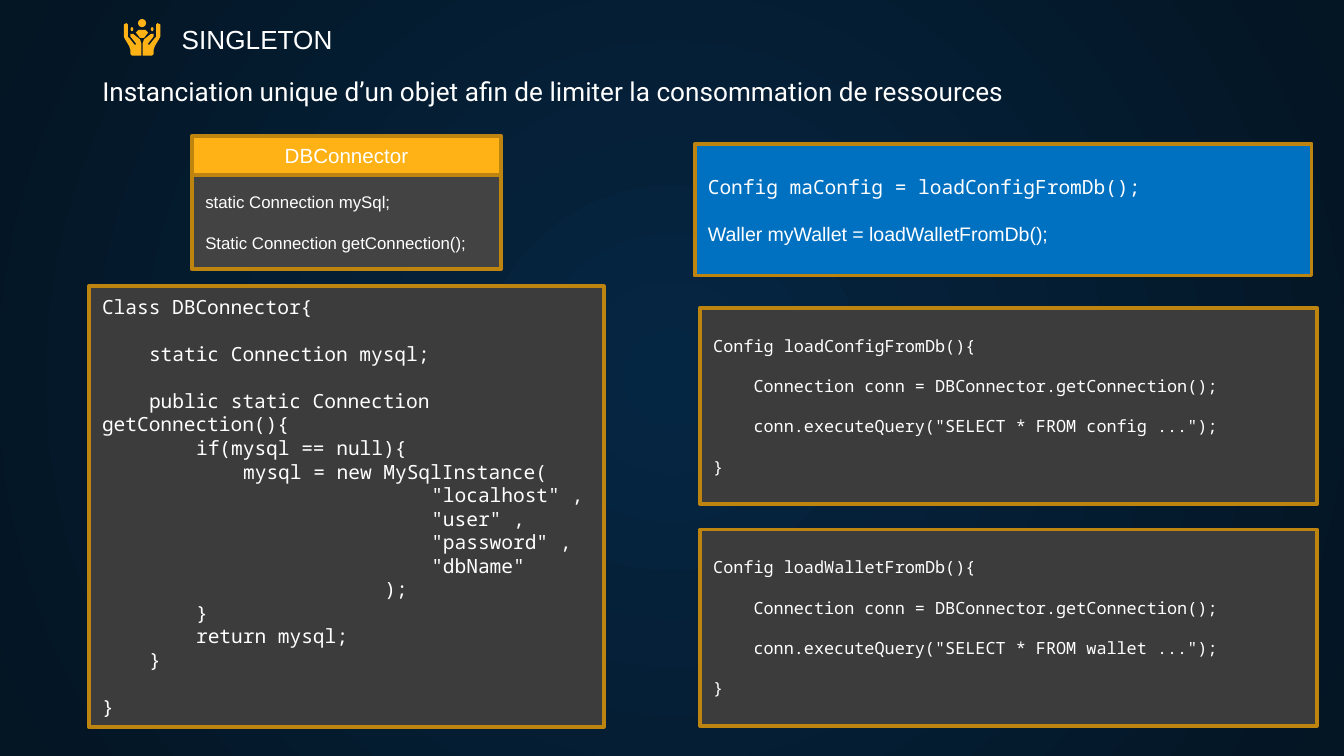
from lxml import etree
from pptx import Presentation
from pptx.dml.color import RGBColor
from pptx.enum.shapes import MSO_SHAPE
from pptx.enum.text import MSO_ANCHOR, MSO_AUTO_SIZE, PP_ALIGN
from pptx.oxml.ns import qn
from pptx.util import Cm, Pt

RECT, OVAL = MSO_SHAPE.RECTANGLE, MSO_SHAPE.OVAL
MIDDLE, NO_FIT = MSO_ANCHOR.MIDDLE, MSO_AUTO_SIZE.NONE
LEFT, CENTER = PP_ALIGN.LEFT, PP_ALIGN.CENTER

WHITE = RGBColor(0xFF, 0xFF, 0xFF)
GOLD = RGBColor(0xFF, 0xB2, 0x15)
BRONZE = RGBColor(0xBD, 0x84, 0x10)
GRAY = RGBColor(0x43, 0x43, 0x43)
COAL = RGBColor(0x3C, 0x3C, 0x3C)
BLUE = RGBColor(0x00, 0x70, 0xC0)
NAVY = RGBColor(0x05, 0x26, 0x43)
NIGHT = RGBColor(0x04, 0x15, 0x23)

SANS, MONO = "Arial", "Noto Sans Mono"
LEAD, CHAR = 1.2, 0.6
GRID = 27
HAND = [(2, 3), (0, 4), (0, 13), (1, 15), (4, 20), (5, 23), (5, 26), (6, 27),
        (13, 27), (13, 18), (12, 15), (7, 11), (5, 11), (5, 13), (9, 18),
        (9, 19), (8, 19), (4, 14), (3, 13), (3, 4)]
PALM = [(9, 10), (11, 8.5), (13.5, 8), (16, 8.5), (18.5, 10), (15, 14), (12, 14)]

CLASS_CODE = [
    (0, 0, "Class DBConnector{"),
    (4, 1, "static Connection mysql;"),
    (4, 1, "public static Connection getConnection(){"),
    (8, 0, "if(mysql == null){"),
    (12, 0, "mysql = new MySqlInstance("),
    (28, 0, '"localhost"\u00a0,'.replace("\u00a0", " ")),
    (28, 0, '"user" ,'),
    (28, 0, '"password" ,'),
    (28, 0, '"dbName"'),
    (24, 0, ");"),
    (8, 0, "}"),
    (8, 0, "return mysql;"),
    (4, 0, "}"),
    (0, 1, "}"),
]


def style(para, font, size, align=LEFT):
    """Format a paragraph and its runs."""
    para.alignment = align
    for run in para.runs:
        run.font.name = font
        run.font.size = Pt(size)
        run.font.color.rgb = WHITE


def paint(shape, fill, edge=None):
    """Give a shape a flat fill and an optional edge."""
    shape.shadow.inherit = False
    shape.fill.solid()
    shape.fill.fore_color.rgb = fill
    if edge is None:
        shape.line.fill.background()
    else:
        shape.line.color.rgb = edge
        shape.line.width = Pt(2)


def add_panel(slide, box, fill, lines, size, fonts, align=LEFT):
    """Add a framed panel of (indent, gap, text) lines."""
    panel = slide.shapes.add_shape(RECT, *map(Cm, box))
    paint(panel, fill, BRONZE)
    frame = panel.text_frame
    frame.word_wrap = True
    frame.vertical_anchor = MIDDLE
    frame.text = "\n".join(text for _, _, text in lines)
    for i, (para, (indent, gap, _)) in enumerate(zip(frame.paragraphs, lines)):
        style(para, fonts[i % len(fonts)], size, align)
        para.line_spacing = Pt(size * LEAD)
        para.space_before = Pt(size * LEAD * gap)
        props = para._p.get_or_add_pPr()
        props.set("marL", "0")
        props.set("indent", str(Pt(indent * size * CHAR)))


def add_card(slide, box):
    """Add the class card with its name above its members."""
    left, top, width, height = box
    head = 0.74
    add_panel(slide, (left, top, width, head), GOLD,
              [(0, 0, "DBConnector")], 11, [SANS], CENTER)
    add_panel(slide, (left, top + head, width, height - head), GRAY,
              [(0, 0, "static Connection mySql;"),
               (0, 1, "Static Connection getConnection();")], 9, [SANS])


def add_loader(slide, box, name):
    """Add the code panel that loads one kind of object."""
    add_panel(slide, box, COAL, [
        (0, 0, f"Config load{name}FromDb(){{"),
        (4, 1, "Connection conn = DBConnector.getConnection();"),
        (4, 1, f'conn.executeQuery("SELECT * FROM {name.lower()} ...");'),
        (0, 1, "}"),
    ], 9, [MONO])


def add_icon(slide, box):
    """Draw two raised hands around a small figure."""
    left, top, width, _ = box
    unit = width / GRID
    flip = [(GRID - x, y) for x, y in HAND]
    for points in (HAND, flip, PALM):
        pen = slide.shapes.build_freeform(*points[0], scale=Cm(unit))
        pen.add_line_segments(points[1:], close=True)
        paint(pen.convert_to_shape(Cm(left), Cm(top)), GOLD)
    for x, y, w, h in ((10.5, 0, 6, 6), (5, 6, 2, 3), (20, 6, 2, 3)):
        dot = slide.shapes.add_shape(OVAL, Cm(left + x * unit), Cm(top + y * unit),
                                     Cm(w * unit), Cm(h * unit))
        paint(dot, GOLD)


def place_text(holder, box, text, font):
    """Move a placeholder to a box and set its one line of text."""
    holder.left, holder.top, holder.width, holder.height = map(Cm, box)
    frame = holder.text_frame
    frame.text = text
    frame.word_wrap = False
    frame.auto_size = NO_FIT
    frame.vertical_anchor = MIDDLE
    para = frame.paragraphs[0]
    style(para, font, 14)
    para.space_before = Pt(0)
    props = para._p.get_or_add_pPr()
    props.set("marL", "0")
    props.set("indent", "0")
    etree.SubElement(props, qn("a:buNone"))


def set_back(slide):
    """Fill the background with a round gradient."""
    fill = slide.background.fill
    fill.gradient()
    for stop, color, place in zip(fill.gradient_stops, (NAVY, NIGHT), (0, 1)):
        stop.color.rgb = color
        stop.position = place
    grad = slide.element.find(".//" + qn("a:gradFill"))
    grad.remove(grad.find(qn("a:lin")))
    ring = etree.Element(qn("a:path"), path="circle")
    etree.SubElement(ring, qn("a:fillToRect"), dict.fromkeys("ltrb", "50000"))
    grad.find(qn("a:gsLst")).addnext(ring)


def main():
    """Build the slide and save it."""
    deck = Presentation()
    deck.slide_width, deck.slide_height = Cm(25.4), Cm(14.29)
    slide = deck.slides.add_slide(deck.slide_layouts[1])
    set_back(slide)
    place_text(slide.shapes.title, (3.18, 0.3, 3.4, 0.86), "SINGLETON", SANS)
    place_text(slide.placeholders[1], (1.68, 1.3, 17.7, 0.86),
               "Instanciation unique d’un objet afin de limiter "
               "la consommation de ressources", "Roboto")
    add_icon(slide, (2.34, 0.36, 0.69, 0.69))
    add_card(slide, (3.63, 2.57, 5.84, 2.52))
    add_panel(slide, (1.68, 5.41, 9.73, 8.33), COAL, CLASS_CODE, 10.5, [MONO])
    add_panel(slide, (13.13, 2.72, 11.66, 2.49), BLUE,
              [(0, 0, "Config maConfig = loadConfigFromDb();"),
               (0, 1, "Waller myWallet = loadWalletFromDb();")], 10.5, [MONO, SANS])
    for i, name in enumerate(("Config", "Wallet")):
        add_loader(slide, (13.23, 5.82 + i * 4.19, 11.66, 3.71), name)
    deck.save("out.pptx")


if __name__ == "__main__":
    main()
